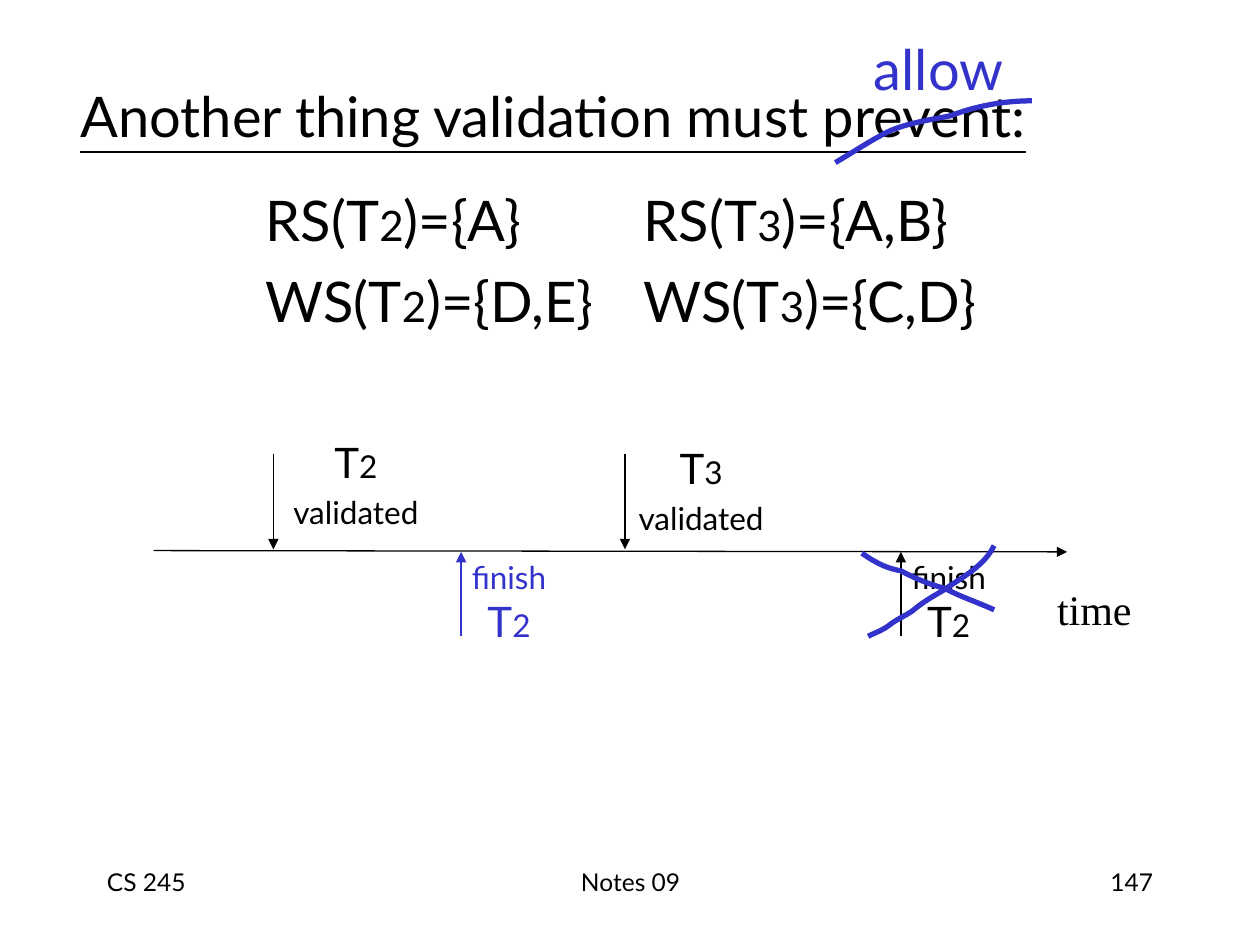
from lxml import etree
from pptx import Presentation
from pptx.dml.color import RGBColor
from pptx.enum.shapes import MSO_CONNECTOR
from pptx.enum.text import MSO_ANCHOR, PP_ALIGN
from pptx.oxml.ns import qn
from pptx.util import Inches, Pt

BLACK = RGBColor(0x00, 0x00, 0x00)
BLUE = RGBColor(0x33, 0x33, 0xCC)
LEFT, CENTER, RIGHT = PP_ALIGN.LEFT, PP_ALIGN.CENTER, PP_ALIGN.RIGHT
TOP, MIDDLE = MSO_ANCHOR.TOP, MSO_ANCHOR.MIDDLE
CURVE_STEPS = 12


class SlideBuilder:
    font = "Lato"

    def __init__(self, page):
        self.page = page

    def text(self, place, rows, size, color=BLACK, align=CENTER, anchor=MIDDLE,
             wrap=False, small=18, gap=0, font=None, underline=False):
        """Write rows of text; the odd parts between bars take the small size."""
        box = self.page.shapes.add_textbox(*map(Inches, place))
        frame = box.text_frame
        frame.word_wrap = wrap
        frame.vertical_anchor = anchor
        for index, row in enumerate(rows):
            para = frame.paragraphs[0] if index == 0 else frame.add_paragraph()
            para.alignment = align
            if index:
                para.space_before = Pt(gap)
            for part, words in enumerate(row.split("|")):
                if not words:
                    continue
                span = para.add_run()
                span.text = words
                span.font.name = font or self.font
                span.font.size = Pt(small if part % 2 else size)
                span.font.color.rgb = color
                span.font.underline = underline
        return frame

    def tabs(self, frame, stops):
        for para in frame.paragraphs:
            tab_list = etree.SubElement(para._p.get_or_add_pPr(), qn("a:tabLst"))
            for stop in stops:
                etree.SubElement(tab_list, qn("a:tab"), pos=str(Inches(stop)), algn="l")

    def arrow(self, start, end, color=BLACK):
        line = self.page.shapes.add_connector(
            MSO_CONNECTOR.STRAIGHT, *map(Inches, (*start, *end)))
        line.line.color.rgb = color
        line.line.width = Pt(0.75)
        etree.SubElement(line.line._get_or_add_ln(), qn("a:tailEnd"), type="triangle")
        etree.SubElement(line._element.spPr, qn("a:effectLst"))

    def stroke(self, points):
        """Draw a pen stroke through cubic curves: a start, then three points per curve."""
        trail = []
        for first in range(0, len(points) - 1, 3):
            curve = points[first:first + 4]
            for step in range(1, CURVE_STEPS + 1):
                t = step / CURVE_STEPS
                weights = ((1 - t) ** 3, 3 * t * (1 - t) ** 2, 3 * t * t * (1 - t), t ** 3)
                trail.append(tuple(
                    Inches(sum(w * point[axis] for w, point in zip(weights, curve)))
                    for axis in (0, 1)))
        pen = self.page.shapes.build_freeform(*map(Inches, points[0]))
        pen.add_line_segments(trail, close=False)
        shape = pen.convert_to_shape()
        shape.shadow.inherit = False
        shape.fill.background()
        shape.line.color.rgb = BLUE
        shape.line.width = Pt(3)

    def validated(self, left, top, number, arrow_x):
        frame = self.text((left, top, 1.27, 0.84), [f"T|{number}|", "validated"], 24, gap=11.2)
        label = frame.paragraphs[1]
        label.line_spacing = 0.6
        label.runs[0].font.size = Pt(18)
        self.arrow((arrow_x, 3.6), (arrow_x, 4.36))

    def finish(self, arrow_x, color):
        frame = self.text((arrow_x - 0.04, 4.38, 0.84, 0.8), ["finish", "T|2|"], 24, color)
        frame.paragraphs[0].runs[0].font.size = Pt(18)
        self.arrow((arrow_x, 5.05), (arrow_x, 4.38), color)


def main():
    deck = Presentation()
    deck.slide_width, deck.slide_height = Inches(10), Inches(7.5)
    page = SlideBuilder(deck.slides.add_slide(deck.slide_layouts[6]))

    for left, width, words, align in ((0.75, 2.08, "CS 245", LEFT),
                                      (3.42, 3.17, "Notes 09", CENTER),
                                      (7.17, 2.08, "147", RIGHT)):
        page.text((left, 6.83, width, 0.5), [words], 14, align=align, anchor=TOP, wrap=True)

    page.text((0.54, 0.44, 8.5, 0.95), ["Another thing validation must prevent:"], 32,
              align=LEFT, wrap=True, underline=True)
    sets = page.text((0.64, 1.42, 8.5, 1.51),
                     ["\tRS(T|2|)={A}\tRS(T|3|)={A,B}", "\tWS(T|2|)={D,E}\tWS(T|3|)={C,D}"],
                     32, align=LEFT, anchor=TOP, wrap=True, small=24, gap=8)
    page.tabs(sets, (1.37, 4.37))

    page.arrow((1.22, 4.37), (8.47, 4.38))
    page.text((8.29, 4.58, 0.79, 0.5), ["time"], 24, font="Times New Roman")
    page.validated(2.19, 3.41, 2, 2.17)
    page.validated(4.93, 3.46, 3, 4.96)
    page.finish(3.66, BLUE)
    page.finish(7.15, BLACK)

    page.text((6.8, 0.22, 1.3, 0.64), ["allow"], 32, BLUE)
    strike_out = [(6.63, 1.29), (6.77, 1.21), (6.9, 1.12), (7.04, 1.05), (7.18, 0.98),
                  (7.39, 0.95), (7.54, 0.92), (7.75, 0.84), (7.97, 0.8), (8.19, 0.8)]
    cross_up = [(6.89, 5.05), (6.95, 5.02), (7.01, 5), (7.06, 4.96), (7.11, 4.92),
                (7.18, 4.89), (7.24, 4.85), (7.31, 4.79), (7.39, 4.74), (7.48, 4.69),
                (7.62, 4.59), (7.81, 4.5), (7.89, 4.33)]
    cross_down = [(6.84, 4.39), (6.94, 4.46), (7.03, 4.51), (7.15, 4.53), (7.26, 4.59),
                  (7.38, 4.64), (7.5, 4.67), (7.63, 4.74), (7.76, 4.78), (7.89, 4.84)]
    for points in (strike_out, cross_up, cross_down):
        page.stroke(points)

    deck.save("out.pptx")


if __name__ == "__main__":
    main()
